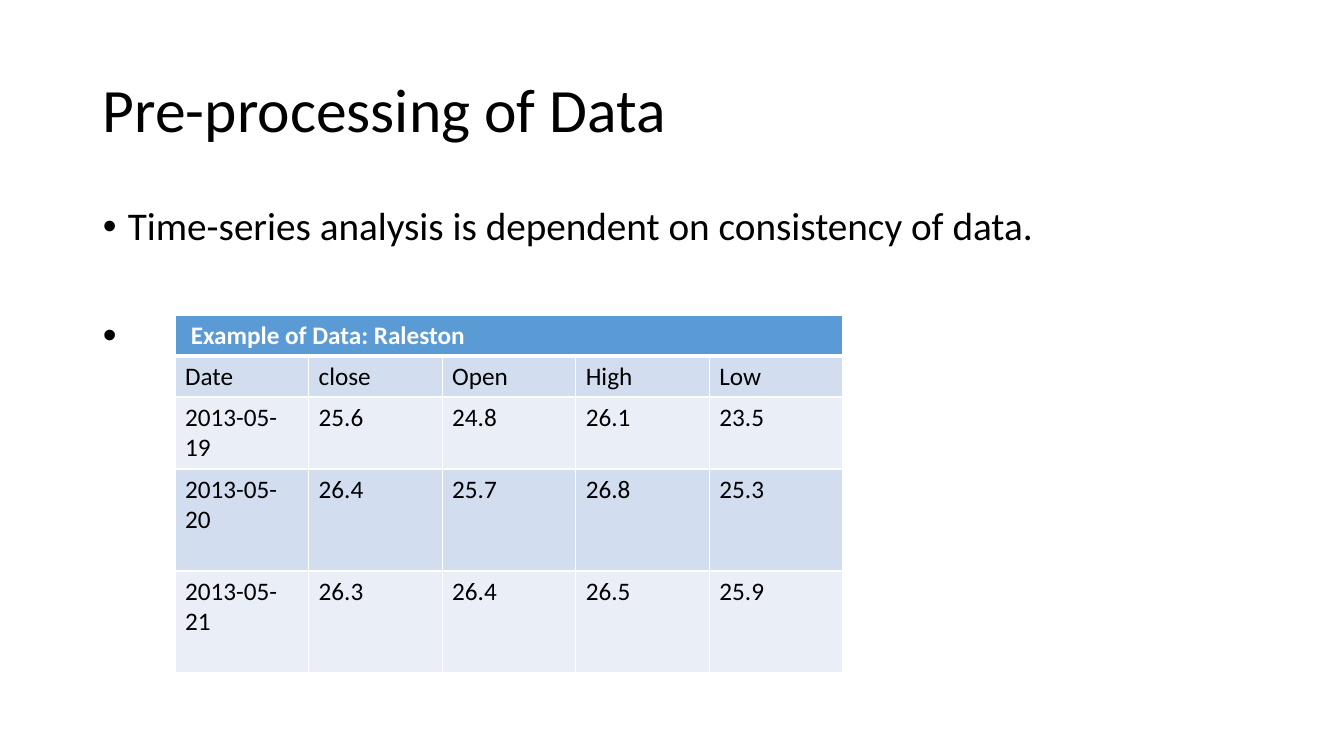
from lxml import etree
from pptx import Presentation
from pptx.dml.color import RGBColor
from pptx.enum.text import MSO_ANCHOR
from pptx.oxml.ns import qn
from pptx.util import Emu, Pt

PIXEL = 914400 / 100.8
MIDDLE = MSO_ANCHOR.MIDDLE
TOP = MSO_ANCHOR.TOP
BLACK, WHITE = "000000", "FFFFFF"
HEADER_BLUE = "5B9BD5"
BANDS = ["D2DEEF", "EAEFF7"]
BULLET_INDENT = 25


def px(length):
    return Emu(round(length * PIXEL))


def color(value):
    return RGBColor.from_string(value)


class SlideBuilder:
    def __init__(self, page, font):
        self.page = page
        self.font = font

    def span(self, para, text, size, fill=BLACK, bold=False):
        run = para.add_run()
        run.text = text
        run.font.name = self.font
        run.font.size = Pt(size)
        run.font.bold = bold
        run.font.color.rgb = color(fill)

    def textbox(self, left, top, width, height, anchor):
        box = self.page.shapes.add_textbox(px(left), px(top), px(width), px(height))
        frame = box.text_frame
        frame.word_wrap = True
        frame.vertical_anchor = anchor
        return frame

    def title(self, text, *bounds):
        para = self.textbox(*bounds, MIDDLE).paragraphs[0]
        para.line_spacing = 0.9
        self.span(para, text, 44)

    def bullets(self, items, *bounds):
        frame = self.textbox(*bounds, TOP)
        for index, (text, space) in enumerate(items):
            para = frame.add_paragraph() if index else frame.paragraphs[0]
            para.line_spacing = 0.9
            para.space_before = Pt(space)
            properties = para._p.get_or_add_pPr()
            properties.set("marL", str(px(BULLET_INDENT)))
            properties.set("indent", str(-px(BULLET_INDENT)))
            etree.SubElement(properties, qn("a:buFont"), typeface="Arial")
            etree.SubElement(properties, qn("a:buChar"), char="•")
            self.span(para, text, 28)

    def borders(self, cell, bottom):
        properties = cell._tc.get_or_add_tcPr()
        widths = {"lnL": 1, "lnR": 1, "lnT": 1, "lnB": bottom}
        for index, (side, width) in enumerate(widths.items()):
            line = etree.Element(qn(f"a:{side}"), w=str(Pt(width)))
            fill = etree.SubElement(line, qn("a:solidFill"))
            etree.SubElement(fill, qn("a:srgbClr"), val=WHITE)
            properties.insert(index, line)

    def cell(self, cell, text, fill, ink=BLACK, bold=False, bottom=1):
        cell.fill.solid()
        cell.fill.fore_color.rgb = color(fill)
        self.borders(cell, bottom)
        if text:
            self.span(cell.text_frame.paragraphs[0], text, 18, ink, bold)

    def table(self, heading, rows, heights, left, top, width):
        columns = len(rows[0])
        table = self.page.shapes.add_table(
            len(heights), columns, px(left), px(top), px(width), px(sum(heights))
        ).table
        for row, height in zip(table.rows, heights):
            row.height = px(height)
        table.cell(0, 0).merge(table.cell(0, columns - 1))
        for column in range(columns):
            text = "" if column else heading
            self.cell(table.cell(0, column), text, HEADER_BLUE, WHITE, True, 3)
        for index, values in enumerate(rows):
            for column, text in enumerate(values):
                self.cell(table.cell(index + 1, column), text, BANDS[index % 2])


deck = Presentation()
deck.slide_width = px(1344)
deck.slide_height = px(756)
slide = SlideBuilder(deck.slides.add_slide(deck.slide_layouts[6]), "Calibri")

slide.title("Pre-processing of Data", 93, 40, 1159, 146)
slide.bullets(
    [("Time-series analysis is dependent on consistency of data.", 10), (" ", 48)],
    93, 202, 1159, 480,
)
prices = [
    ["Date", "close", "Open", "High", "Low"],
    ["2013-05-19", "25.6", "24.8", "26.1", "23.5"],
    ["2013-05-20", "26.4", "25.7", "26.8", "25.3"],
    ["2013-05-21", "26.3", "26.4", "26.5", "25.9"],
]
slide.table(
    " Example of Data: Raleston ", prices, [41, 41, 72, 102, 102], 175, 315, 668
)

deck.save("out.pptx")
